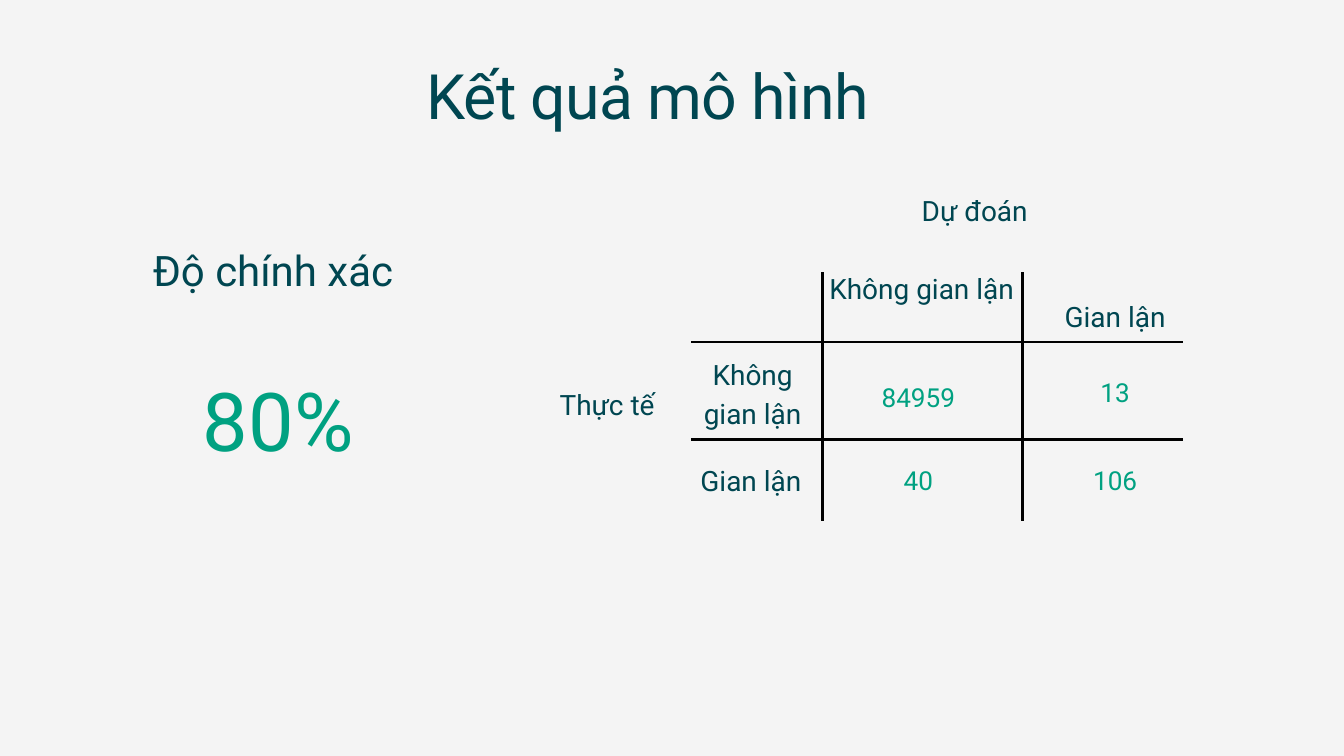
from lxml.etree import SubElement
from pptx import Presentation
from pptx.dml.color import RGBColor
from pptx.enum.shapes import MSO_CONNECTOR
from pptx.enum.text import MSO_AUTO_SIZE, PP_ALIGN
from pptx.oxml.ns import qn
from pptx.util import Emu, Pt

PX = 9144
PAPER = RGBColor(0xF4, 0xF4, 0xF4)
DARK_TEAL = RGBColor(0x00, 0x46, 0x51)
GREEN = RGBColor(0x00, 0xA1, 0x81)
BLACK = RGBColor(0, 0, 0)

FRAME = {
    "word_wrap": True,
    "auto_size": MSO_AUTO_SIZE.SHAPE_TO_FIT_TEXT,
    "margin_left": 0,
    "margin_top": 0,
    "margin_right": 0,
    "margin_bottom": 0,
}


def apply(target, values):
    for name, value in values.items():
        setattr(target, name, value)


class ResultSlide:
    font = "Roboto"
    rule_width = Pt(3)

    def __init__(self, presentation):
        self.slide = presentation.slides.add_slide(presentation.slide_layouts[6])
        self.shapes = self.slide.shapes
        fill = self.slide.background.fill
        fill.solid()
        fill.fore_color.rgb = PAPER

    def open_group(self):
        self.shapes = self.slide.shapes.add_group_shape().shapes

    def close_group(self):
        self.shapes = self.slide.shapes

    def text(self, box, *lines, align=PP_ALIGN.CENTER, leading=1.4, before=0, tracking=0):
        frame = self.shapes.add_textbox(*(Emu(n * PX) for n in box)).text_frame
        apply(frame, FRAME)
        for index, (words, size, color) in enumerate(lines):
            paragraph = frame.add_paragraph() if index else frame.paragraphs[0]
            apply(paragraph, {"alignment": align, "line_spacing": Pt(size * leading)})
            if index:
                paragraph.space_before = Pt(before)
            run = paragraph.add_run()
            run.text = words
            apply(run.font, {"name": self.font, "size": Pt(size)})
            run.font.color.rgb = color
            if tracking:
                run.font._element.set("spc", str(tracking))

    def label(self, box, words):
        self.text(box, (words, 30, DARK_TEAL))

    def value(self, box, number):
        self.text(box, (number, 28, GREEN))

    def rule(self, x1, y1, x2, y2):
        ends = (Emu(n * PX) for n in (x1, y1, x2, y2))
        rule = self.shapes.add_connector(MSO_CONNECTOR.STRAIGHT, *ends)
        rule.line.width = self.rule_width
        rule.line.color.rgb = BLACK
        SubElement(rule._element.spPr, qn("a:effectLst"))


def main():
    presentation = Presentation()
    apply(presentation, {"slide_width": Emu(2000 * PX), "slide_height": Emu(1125 * PX)})
    page = ResultSlide(presentation)

    page.text((0, 352, 828, 334), ("Độ chính xác ", 45, DARK_TEAL), ("80%", 87, GREEN), before=63)
    page.text((634, 76, 807, 119), ("Kết quả mô hình", 67, DARK_TEAL),
              align=PP_ALIGN.LEFT, leading=1.3, tracking=-70)

    page.open_group()
    for box, words in (
        ((1035, 523, 170, 113), "Không gian lận"),
        ((1224, 396, 295, 113), "Không gian lận"),
        ((1478, 437, 363, 55), "Gian lận"),
        ((936, 681, 363, 55), "Gian lận"),
        ((722, 568, 363, 55), "Thực tế"),
        ((1269, 280, 363, 55), "Dự đoán"),
    ):
        page.label(box, words)
    for x, y, number in (
        (1185, 559, "84959"),
        (1478, 553, "13"),
        (1185, 683, "40"),
        (1478, 683, "106"),
    ):
        page.value((x, y, 363, 51), number)
    for x in (1224, 1521):
        page.rule(x, 405, x, 775)
    for y in (509, 654):
        page.rule(1029, y, 1760, y)
    page.close_group()

    presentation.save("out.pptx")


if __name__ == "__main__":
    main()
